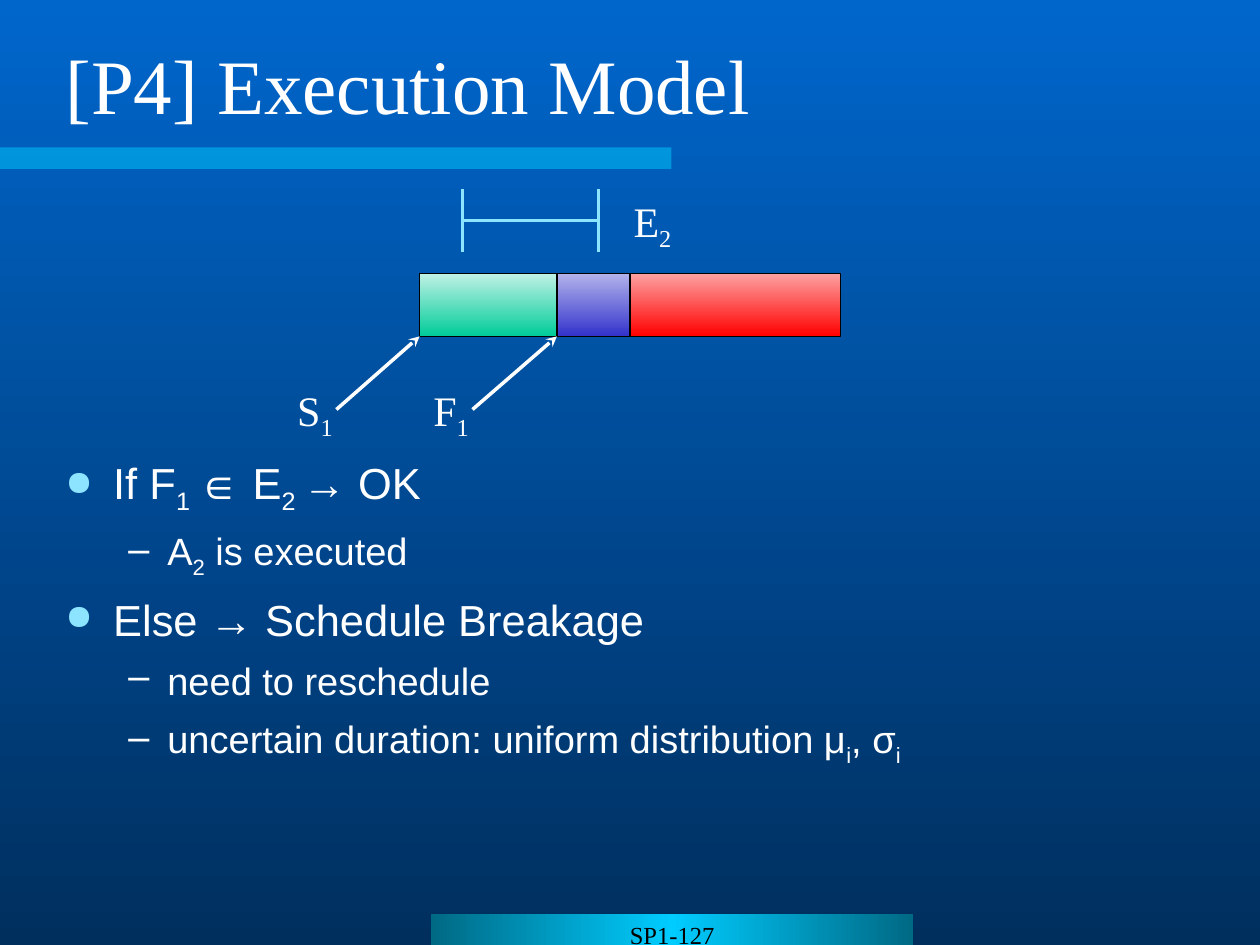
from copy import deepcopy
from lxml import etree
from pptx import Presentation, util as u
from pptx.dml.color import RGBColor
from pptx.enum import shapes, text
from pptx.oxml.ns import qn

# Content: parts between bars are alternately plain and subscript
TITLE = "[P4] Execution Model"
FOOTER = "SP1-127"
BODY = [
    (0, "If F|1 |∈ E|2 |→ OK"),
    (1, "A|2| is executed"),
    (0, "Else → Schedule Breakage"),
    (1, "need to reschedule"),
    (1, "uncertain duration: uniform distribution μ|i|, σ|i"),
]
LEVELS = [  # size, space before, margin, hanging, bullet, its colour, its share
    (24.8, 8, 0.38, 0.38, "●", "pale", 80),
    (21.7, 7, 0.81, 0.31, "–", "white", 100),
]
HEX = dict(white="FFFFFF", black="000000", pale="8DE4FF", cyan="00CCFF")
SKY = ["0066CC", "002F5E"]
BAND = ["006984", "00CCFF", "006984"]

# Bar parts share edges; their fills fade downwards
EDGES = [3.33, 4.42, 5, 6.67]
FADES = [("C0F1E5", "00CC99"), ("B3B3EB", "3333CC"), ("FEA1A1", "FF0000")]
TOP, TALL = 2.17, 0.5
LABELS = [("E|2", 4.93, 1.5, 0.5), ("S|1", 2.26, 3, 0.48), ("F|1", 3.34, 3, 0.48)]
ARROWS = [(2.67, EDGES[0]), (3.75, EDGES[1])]
SPAN = (3.67, 4.75)
SERIF, SANS = "Times New Roman", "Arial"


def rgb(name):
    return RGBColor.from_string(HEX.get(name, name))


def inch(*nums):
    return [u.Inches(n) for n in nums]


def fade(fill, hues, angle):
    fill.gradient()
    fill.gradient_angle = angle
    first = fill.gradient_stops[0]._gs
    for _ in hues[2:]:
        first.addnext(deepcopy(first))
    for i, (stop, hue) in enumerate(zip(fill.gradient_stops, hues)):
        stop.color.rgb = rgb(hue)
        stop.position = i / (len(hues) - 1)


def write(para, words, size, face, hue="white"):
    for i, part in enumerate(words.split("|")):
        run = para.add_run()
        run.text = part
        run.font.size, run.font.name = u.Pt(size), face
        run.font.color.rgb = rgb(hue)
        if i % 2:
            run._r.get_or_add_rPr().set("baseline", "-25000")


def box(kind, *place):
    shape = slide.shapes.add_shape(kind, *inch(*place))
    shape.shadow.inherit = False
    shape.line.fill.background()
    return shape


def line(home, hue, *ends):
    link = home.add_connector(shapes.MSO_CONNECTOR.STRAIGHT, *inch(*ends))
    link.line.color.rgb, link.line.width = rgb(hue), u.Pt(2)
    etree.SubElement(link._element.spPr, qn("a:effectLst"))
    return link


def bullet(para, level):
    _, _, margin, hang, mark, hue, share = LEVELS[level]
    props = para._p.get_or_add_pPr()
    props.set("marL", str(u.Inches(margin)))
    props.set("indent", str(-u.Inches(hang)))
    tint = etree.SubElement(props, qn("a:buClr"))
    etree.SubElement(tint, qn("a:srgbClr"), val=HEX[hue])
    etree.SubElement(props, qn("a:buSzPct"), val=str(share * 1000))
    etree.SubElement(props, qn("a:buChar"), char=mark)


deck = Presentation()
deck.slide_width, deck.slide_height = inch(10, 7.5)
slide = deck.slides.add_slide(deck.slide_layouts[5])
fade(slide.background.fill, SKY, 270)
RECT = shapes.MSO_SHAPE.RECTANGLE

# Rule under the title, half transparent
rule = box(RECT, 0, 1.17, 5.33, 0.17)
rule.fill.solid()
rule.fill.fore_color.rgb = rgb("cyan")
tone = rule._element.spPr.find(".//" + qn("a:srgbClr"))
etree.SubElement(tone, qn("a:alpha"), val="50000")

# Footer band
foot = box(RECT, 3.42, 7.25, 3.83, 0.25)
fade(foot.fill, BAND, 180)
foot.text_frame.vertical_anchor = text.MSO_ANCHOR.TOP
para = foot.text_frame.paragraphs[0]
para.alignment = text.PP_ALIGN.CENTER
write(para, FOOTER, 14, SERIF, "black")

# Title
head = slide.shapes.title
head.left, head.top, head.width, head.height = inch(0.42, 0.25, 9.25, 0.83)
head.text_frame.auto_size = text.MSO_AUTO_SIZE.NONE
head.text_frame.vertical_anchor = text.MSO_ANCHOR.MIDDLE
para = head.text_frame.paragraphs[0]
para.alignment = text.PP_ALIGN.LEFT
write(para, TITLE, 44, SERIF)

# Bar
for left, right, hues in zip(EDGES, EDGES[1:], FADES):
    part = box(shapes.MSO_SHAPE.ROUNDED_RECTANGLE, left, TOP, right - left, TALL)
    part.adjustments[0] = 0
    fade(part.fill, hues, 270)
    part.line.color.rgb, part.line.width = rgb("black"), u.Pt(0.75)

# Interval bracket
group = slide.shapes.add_group_shape().shapes
line(group, "pale", SPAN[0], 1.75, SPAN[1], 1.75)
for x in SPAN:
    line(group, "pale", x, 1.5, x, 2)

# Labels and arrows
for words, left, top, wide in LABELS:
    label = slide.shapes.add_textbox(*inch(left, top, wide, 0.56))
    label.text_frame.word_wrap = False
    write(label.text_frame.paragraphs[0], words, 24, SERIF)
for start, end in ARROWS:
    arrow = line(slide.shapes, "white", start, 3.25, end, TOP + TALL)
    etree.SubElement(arrow.line._get_or_add_ln(), qn("a:tailEnd"), type="stealth")

# Bullets
frame = slide.shapes.add_textbox(*inch(0.42, 3.57, 9.25, 2.68)).text_frame
frame.word_wrap = True
for i, (level, words) in enumerate(BODY):
    para = frame.add_paragraph() if i else frame.paragraphs[0]
    size, gap = LEVELS[level][:2]
    para.level = level
    bullet(para, level)
    para.space_before = u.Pt(gap if i else 0)
    write(para, words, size, SANS)

deck.save("out.pptx")
